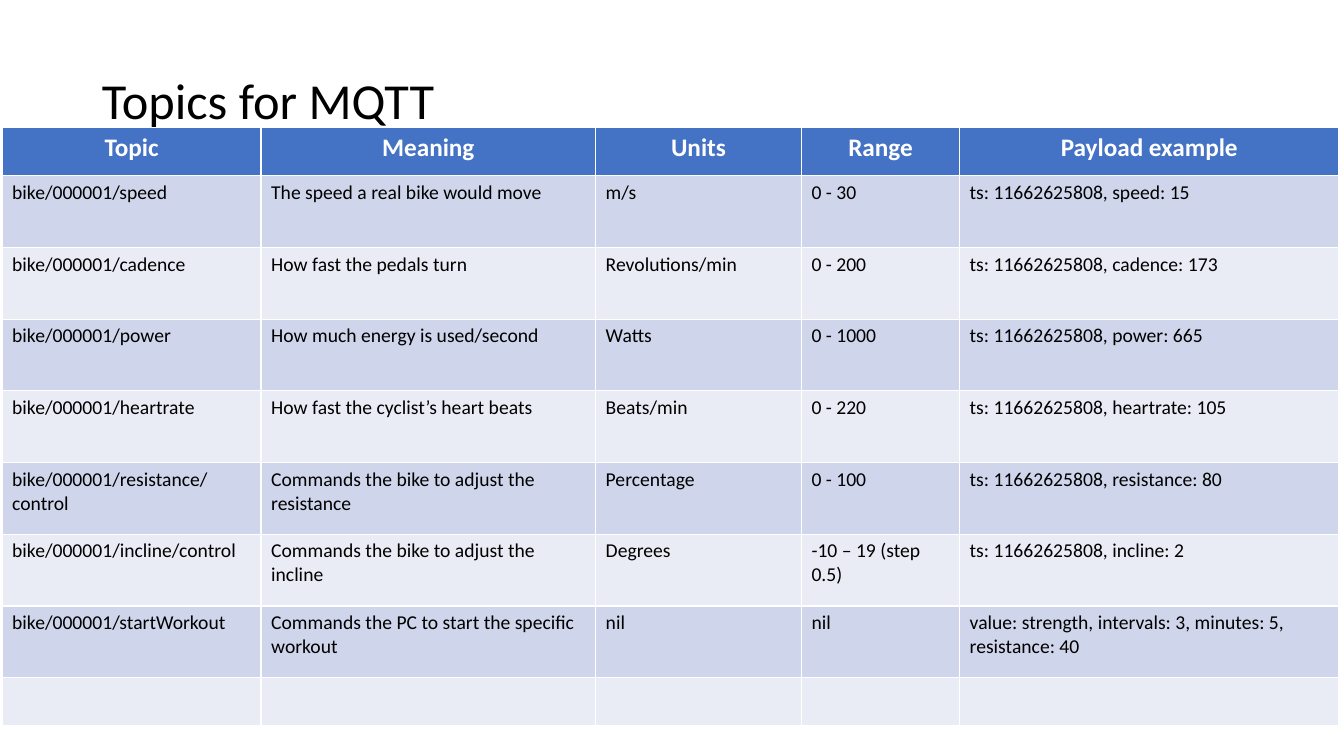
from pptx import Presentation
from pptx.dml.color import RGBColor
from pptx.enum.text import MSO_ANCHOR, MSO_AUTO_SIZE, PP_ALIGN
from pptx.util import Pt

LEFT, CENTER = PP_ALIGN.LEFT, PP_ALIGN.CENTER
MIDDLE = MSO_ANCHOR.MIDDLE
FIT_SHAPE = MSO_AUTO_SIZE.SHAPE_TO_FIT_TEXT

WHITE = RGBColor(0xFF, 0xFF, 0xFF)
BLACK = RGBColor(0x00, 0x00, 0x00)
HEADER_BLUE = RGBColor(0x44, 0x72, 0xC4)
BAND_DARK = RGBColor(0xCF, 0xD5, 0xEA)
BAND_LIGHT = RGBColor(0xE9, 0xEB, 0xF5)
FONT = "Calibri"

COLUMN_WIDTHS = [185, 239, 147, 113, 271]
END_ROW_HEIGHT, TOPIC_ROW_HEIGHT = 34.5, 51.25
ROWS = [
    ["Topic", "Meaning", "Units", "Range", "Payload example"],
    ["bike/000001/speed", "The speed a real bike would move", "m/s",
     "0 - 30", "ts: 11662625808, speed: 15"],
    ["bike/000001/cadence", "How fast the pedals turn", "Revolutions/min",
     "0 - 200", "ts: 11662625808, cadence: 173"],
    ["bike/000001/power", "How much energy is used/second", "Watts",
     "0 - 1000", "ts: 11662625808, power: 665"],
    ["bike/000001/heartrate", "How fast the cyclist’s heart beats", "Beats/min",
     "0 - 220", "ts: 11662625808, heartrate: 105"],
    ["bike/000001/resistance/control", "Commands the bike to adjust the resistance",
     "Percentage", "0 - 100", "ts: 11662625808, resistance: 80"],
    ["bike/000001/incline/control", "Commands the bike to adjust the incline",
     "Degrees", "-10 – 19 (step 0.5)", "ts: 11662625808, incline: 2"],
    ["bike/000001/startWorkout", "Commands the PC to start the specific workout",
     "nil", "nil", "value: strength, intervals: 3, minutes: 5, resistance: 40"],
    [""] * len(COLUMN_WIDTHS),
]


def add_run(p, text, size, color, bold=False):
    r = p.add_run()
    r.text = text
    r.font.name = FONT
    r.font.size = Pt(size)
    r.font.bold = bold
    r.font.color.rgb = color


prs = Presentation()
prs.slide_width, prs.slide_height = Pt(960), Pt(540)
s = prs.slides.add_slide(prs.slide_layouts[5])

# Title
title = s.shapes.title
title.left, title.top, title.width, title.height = Pt(65.5), Pt(45.5), Pt(254), Pt(51)
tf = title.text_frame
tf.word_wrap = False
tf.auto_size = FIT_SHAPE
tf.vertical_anchor = MIDDLE
p = tf.paragraphs[0]
p.alignment = LEFT
add_run(p, "Topics for MQTT", 36, BLACK)

# Topic table: the header and the blank last row are lower than the topic rows
last = len(ROWS) - 1
heights = [END_ROW_HEIGHT if i in (0, last) else TOPIC_ROW_HEIGHT
           for i in range(len(ROWS))]
table = s.shapes.add_table(len(ROWS), len(COLUMN_WIDTHS), Pt(1.5), Pt(91),
                           Pt(sum(COLUMN_WIDTHS)), Pt(sum(heights))).table
for column, width in zip(table.columns, COLUMN_WIDTHS):
    column.width = Pt(width)

for i, texts in enumerate(ROWS):
    table.rows[i].height = Pt(heights[i])
    header = i == 0
    band = BAND_DARK if i % 2 else BAND_LIGHT
    for j, text in enumerate(texts):
        cell = table.cell(i, j)
        cell.fill.solid()
        cell.fill.fore_color.rgb = HEADER_BLUE if header else band
        p = cell.text_frame.paragraphs[0]
        p.alignment = CENTER if header else LEFT
        if header:
            add_run(p, text, 18, WHITE, bold=True)
        elif text:
            add_run(p, text, 14, BLACK)

prs.save("out.pptx")
